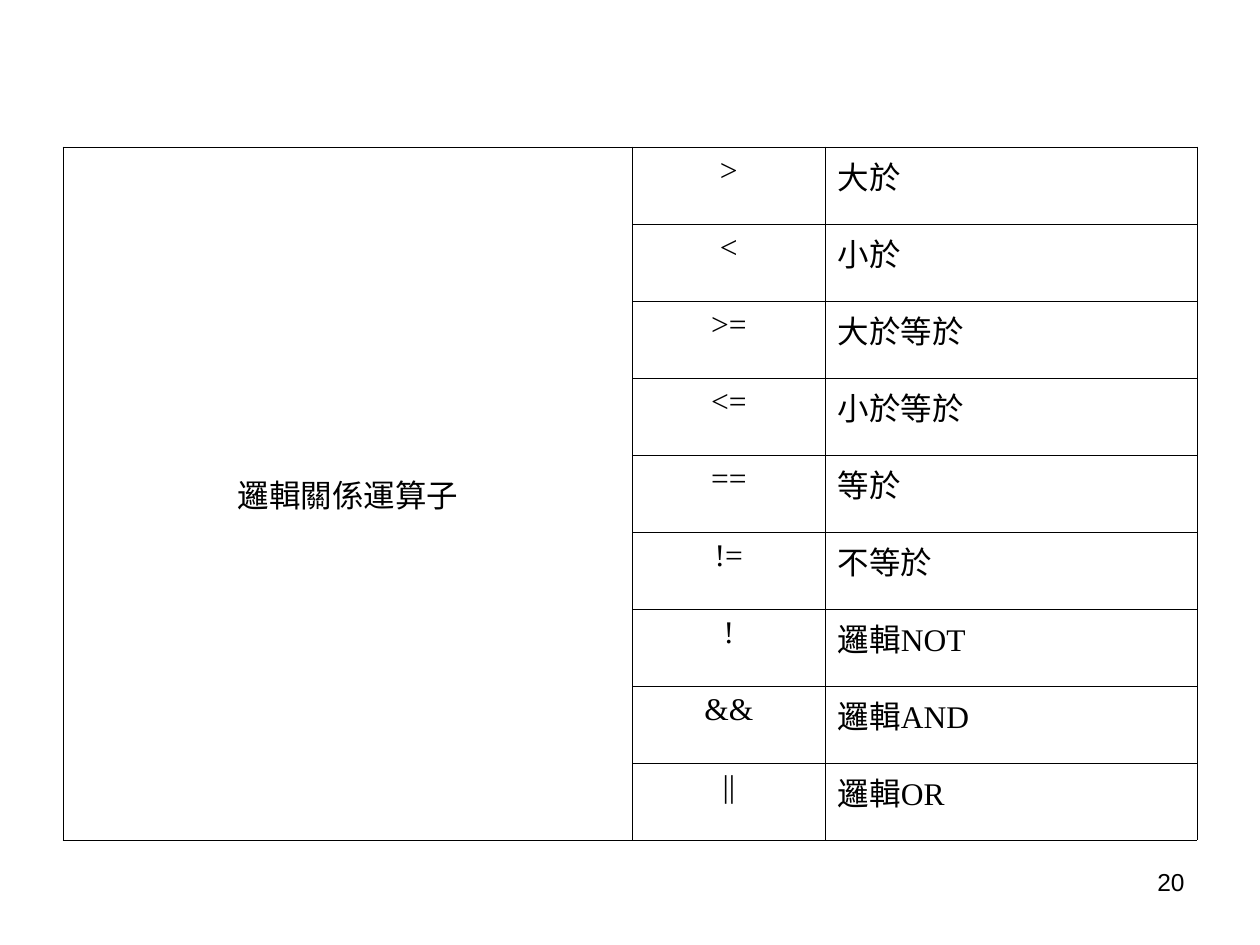
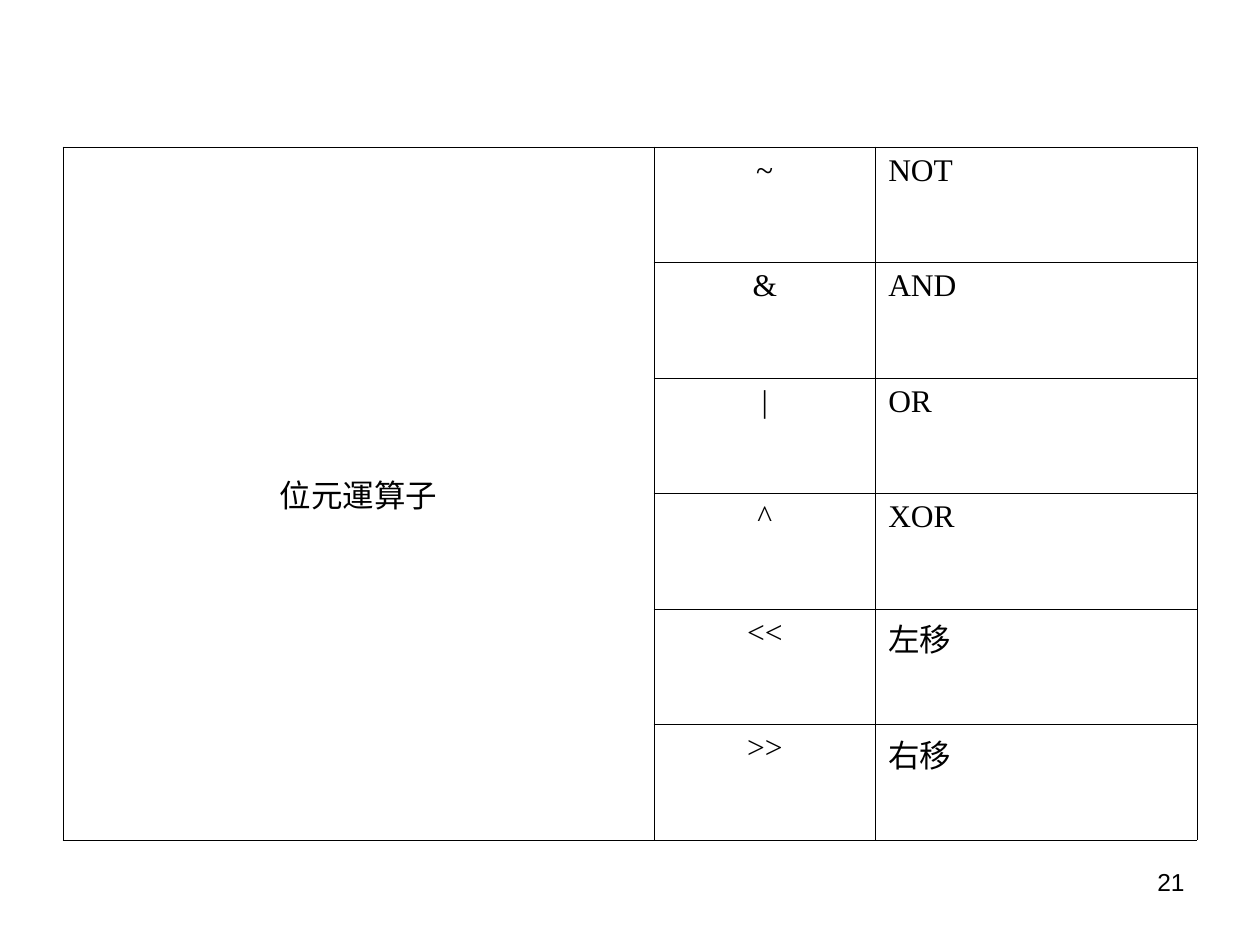
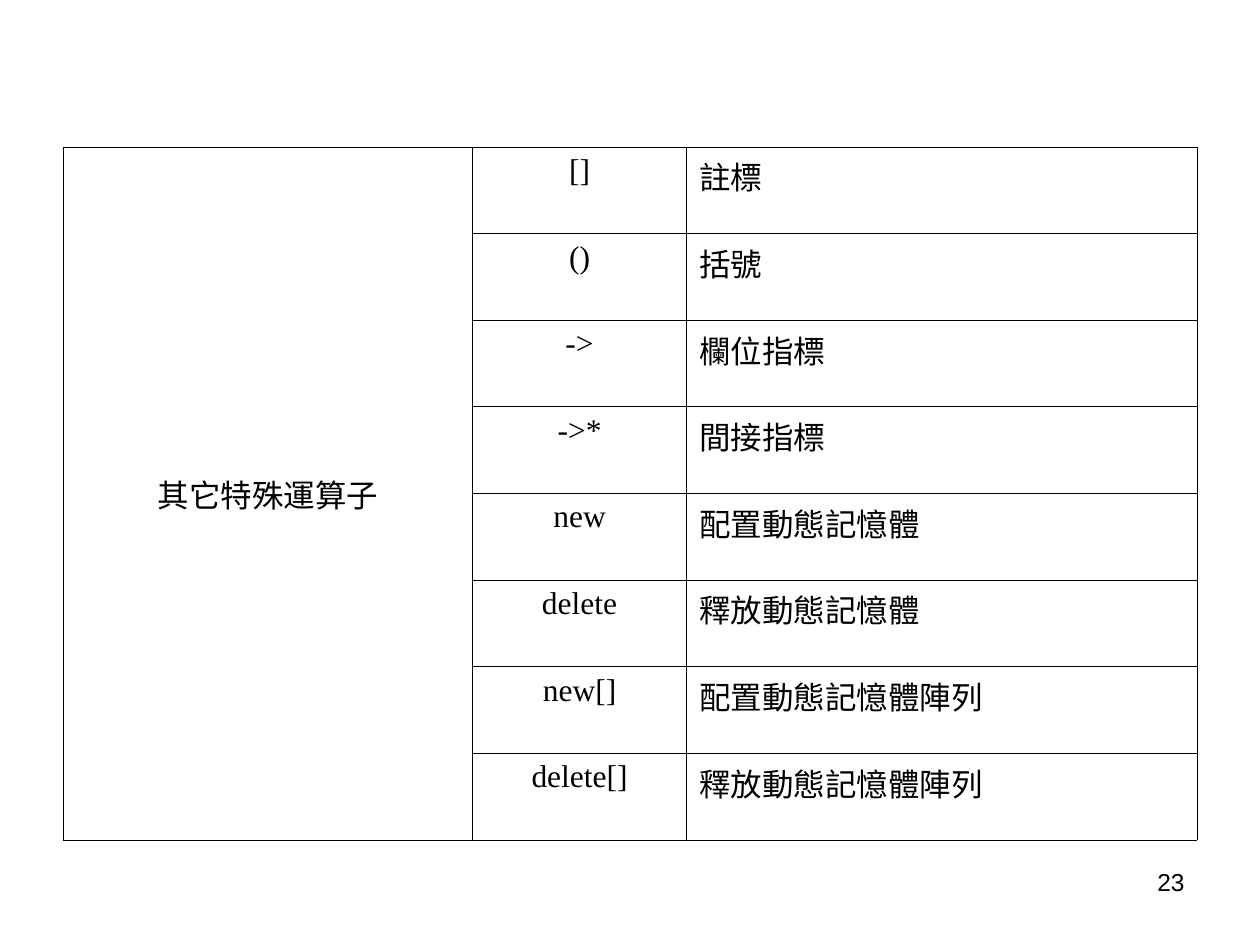
from lxml.etree import SubElement
from pptx import Presentation
from pptx.dml.color import RGBColor
from pptx.enum.text import MSO_ANCHOR as Anchor, PP_ALIGN as Align
from pptx.oxml.ns import qn
from pptx.util import Inches, Pt

COLORS = {"ink": "000000", "paper": "FFFFFF"}
GRID_COLUMNS, GRID_ROWS = 60, 45

OPERATOR_GROUPS = [
    (20, "邏輯關係運算子", (4.52, 1.53, 2.95), [
        (">", "大於"), ("<", "小於"), (">=", "大於等於"),
        ("<=", "小於等於"), ("==", "等於"), ("!=", "不等於"),
        ("!", "邏輯NOT"), ("&&", "邏輯AND"), ("||", "邏輯OR"),
    ]),
    (21, "位元運算子", (4.69, 1.76, 2.55), [
        ("~", "NOT"), ("&", "AND"), ("|", "OR"),
        ("^", "XOR"), ("<<", "左移"), (">>", "右移"),
    ]),
    (23, "其它特殊運算子", (3.25, 1.7, 4.05), [
        ("[]", "註標"), ("()", "括號"), ("->", "欄位指標"), ("->*", "間接指標"),
        ("new", "配置動態記憶體"), ("delete", "釋放動態記憶體"),
        ("new[]", "配置動態記憶體陣列"), ("delete[]", "釋放動態記憶體陣列"),
    ]),
]


class OperatorDeck:
    """Holds the deck's style and its current slide."""

    def __init__(self):
        """Start an empty deck with a grid over the whole slide."""
        self.deck = Presentation()
        self.deck.slide_width, self.deck.slide_height = Inches(10), Inches(7.5)
        self.slide = None

    def area(self, column, row, columns, rows):
        """Turn grid units into left, top, width and height."""
        across = self.deck.slide_width / GRID_COLUMNS
        down = self.deck.slide_height / GRID_ROWS
        return [round(n) for n in (column * across, row * down, columns * across, rows * down)]

    def add_slide(self):
        """Open a blank slide on plain paper."""
        self.slide = self.deck.slides.add_slide(self.deck.slide_layouts[6])
        background = self.slide.background.fill
        background.solid()
        background.fore_color.rgb = RGBColor.from_string(COLORS["paper"])

    def set_text(self, frame, text, font_name, size, align):
        """Fill a text frame with one formatted paragraph."""
        frame.text = text
        paragraph = frame.paragraphs[0]
        paragraph.alignment = align
        for run in paragraph.runs:
            run.font.name = font_name
            run.font.size = Pt(size)
            run.font.color.rgb = RGBColor.from_string(COLORS["ink"])

    def outline(self, cell):
        """Rule all four sides of a cell and leave it unfilled."""
        properties = cell._tc.get_or_add_tcPr()
        for side in ("a:lnL", "a:lnR", "a:lnT", "a:lnB"):
            rule = SubElement(properties, qn(side), w=str(Pt(0.45)))
            ink = SubElement(rule, qn("a:solidFill"))
            SubElement(ink, qn("a:srgbClr"), val=COLORS["ink"])
        cell.fill.background()

    def add_operators(self, group, widths, operators):
        """Draw a table with the group name beside its operators."""
        left, top, width, height = self.area(3, 7, 54, 33)
        count = len(operators)
        table = self.slide.shapes.add_table(count, 3, left, top, width, height).table
        table.first_row = table.horz_banding = False
        for column, share in zip(table.columns, widths):
            column.width = round(width * share / sum(widths))
        for row in table.rows:
            row.height = round(height / count)
        for cell in table.iter_cells():
            self.outline(cell)

        heading = table.cell(0, 0)
        heading.merge(table.cell(count - 1, 0))
        heading.vertical_anchor = Anchor.MIDDLE
        self.set_cell(heading, group, Align.CENTER)
        for index, (symbol, meaning) in enumerate(operators):
            self.set_cell(table.cell(index, 1), symbol, Align.CENTER)
            self.set_cell(table.cell(index, 2), meaning, Align.LEFT)

    def set_cell(self, cell, text, align):
        """Set a cell's text in the table style."""
        self.set_text(cell.text_frame, text, "Times New Roman", 18, align)

    def add_page_number(self, number):
        """Put the page number under the table's right edge."""
        frame = self.slide.shapes.add_textbox(*self.area(43, 41, 14, 3.12)).text_frame
        frame.word_wrap = True
        self.set_text(frame, str(number), "Arial", 14, Align.RIGHT)


def main():
    """Build one slide for each group of operators."""
    pages = OperatorDeck()
    for number, group, widths, operators in OPERATOR_GROUPS:
        pages.add_slide()
        pages.add_operators(group, widths, operators)
        pages.add_page_number(number)
    pages.deck.save("out.pptx")


if __name__ == "__main__":
    main()
